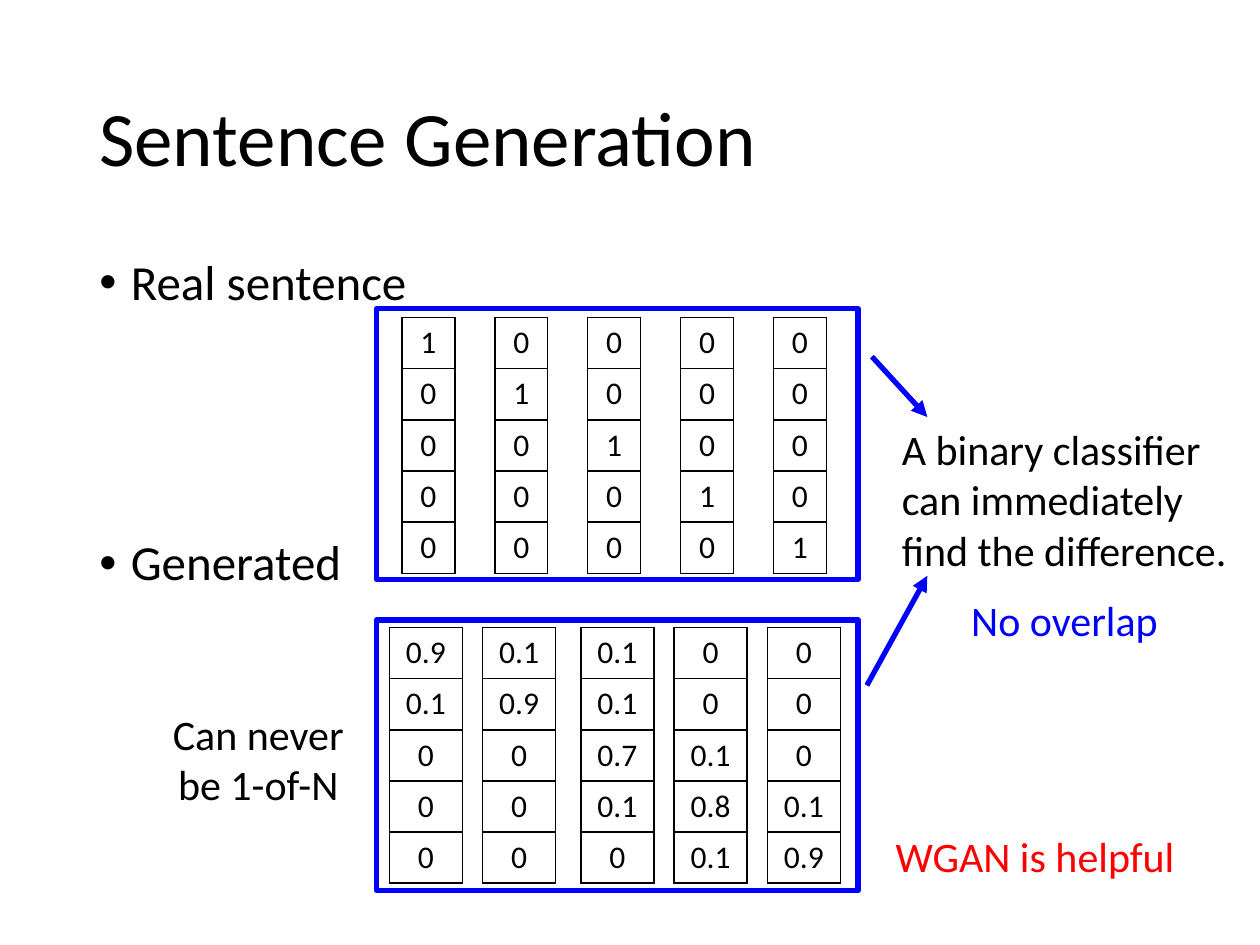
from lxml import etree
from pptx import Presentation
from pptx.dml.color import RGBColor
from pptx.enum.shapes import MSO_CONNECTOR, MSO_SHAPE
from pptx.enum.text import MSO_ANCHOR, PP_ALIGN
from pptx.oxml.ns import qn
from pptx.util import Inches, Pt

LEFT, CENTER = PP_ALIGN.LEFT, PP_ALIGN.CENTER
TOP, MIDDLE = MSO_ANCHOR.TOP, MSO_ANCHOR.MIDDLE
RECTANGLE, STRAIGHT = MSO_SHAPE.RECTANGLE, MSO_CONNECTOR.STRAIGHT
COLORS = {"ink": "000000", "blue": "0000FF", "red": "FF0000"}
FONT = "Calibri"
COLUMNS, ROWS = 100, 75


class SlideBuilder:
    """Draws styled elements on a slide laid out as a 100 by 75 grid."""

    def __init__(self, deck):
        self.slide = deck.slides.add_slide(deck.slide_layouts[6])
        self.shapes = self.slide.shapes
        self.column = deck.slide_width / COLUMNS
        self.row = deck.slide_height / ROWS

    def place(self, *grid):
        steps = (self.column, self.row) * 2
        return [round(length * step) for length, step in zip(grid, steps)]

    def style(self, paragraph, size, color="ink", align=LEFT, spacing=1.0):
        paragraph.alignment = align
        paragraph.line_spacing = spacing
        for run in paragraph.runs:
            run.font.name = FONT
            run.font.size = Pt(size)
            run.font.color.rgb = RGBColor.from_string(COLORS[color])

    def text(self, words, grid, size=24, color="ink", align=LEFT, anchor=TOP, spacing=1.0):
        frame = self.shapes.add_textbox(*self.place(*grid)).text_frame
        frame.word_wrap = True
        frame.vertical_anchor = anchor
        frame.text = words
        for paragraph in frame.paragraphs:
            self.style(paragraph, size, color, align, spacing)
        return frame

    def bullets(self, items, grid, size, gap):
        frame = self.text("\n".join(items), grid, size, spacing=0.9)
        for index, paragraph in enumerate(frame.paragraphs):
            properties = paragraph._p.get_or_add_pPr()
            properties.set("marL", str(Inches(0.25)))
            properties.set("indent", str(-Inches(0.25)))
            if index:
                paragraph.space_before = Pt(gap)
            etree.SubElement(properties, qn("a:buFont"), typeface="Arial")
            etree.SubElement(properties, qn("a:buChar"), char="•")

    def border(self, cell):
        properties = cell._tc.get_or_add_tcPr()
        for index, side in enumerate(("lnL", "lnR", "lnT", "lnB")):
            line = etree.Element(qn(f"a:{side}"), w=str(Pt(1)))
            fill = etree.SubElement(line, qn("a:solidFill"))
            etree.SubElement(fill, qn("a:srgbClr"), val=COLORS["ink"])
            properties.insert(index, line)

    def vector(self, values, grid):
        left, top, width, height = self.place(*grid)
        table = self.shapes.add_table(len(values), 1, left, top, width, height).table
        table.first_row = table.horz_banding = False
        for value, row in zip(values, table.rows):
            cell = row.cells[0]
            cell.text = value
            cell.fill.background()
            self.style(cell.text_frame.paragraphs[0], 18, align=CENTER)
            self.border(cell)

    def outline(self, line):
        line.color.rgb = RGBColor.from_string(COLORS["blue"])
        line.width = Pt(3)

    def frame(self, grid):
        box = self.shapes.add_shape(RECTANGLE, *self.place(*grid))
        box.shadow.inherit = False
        box.fill.background()
        self.outline(box.line)

    def arrow(self, grid):
        connector = self.shapes.add_connector(STRAIGHT, *self.place(*grid))
        self.outline(connector.line)
        etree.SubElement(connector.line._get_or_add_ln(), qn("a:tailEnd"), type="triangle")
        etree.SubElement(connector._element.spPr, qn("a:effectLst"))


def main():
    deck = Presentation()
    deck.slide_width, deck.slide_height = Inches(10), Inches(7.5)
    page = SlideBuilder(deck)

    page.text("Sentence Generation", (6.9, 4, 86.2, 14.5), 44, anchor=MIDDLE, spacing=0.9)
    page.bullets(["Real sentence", "Generated"], (6.9, 20, 86.2, 47.6), 28, gap=130)

    for word in range(5):
        one_hot = ["1" if entry == word else "0" for entry in range(5)]
        page.vector(one_hot, (31.9 + 7.37 * word, 25.2, 4.2, 20.3))

    generated = {
        30.9: ["0.9", "0.1", "0", "0", "0"],
        38.3: ["0.1", "0.9", "0", "0", "0"],
        46.1: ["0.1", "0.1", "0.7", "0.1", "0"],
        53.5: ["0", "0", "0.1", "0.8", "0.1"],
        60.9: ["0", "0", "0", "0.1", "0.9"],
    }
    for left, probabilities in generated.items():
        page.vector(probabilities, (left, 49.8, 5.8, 20.3))

    page.text("Can never be 1-of-N", (11.1, 55.7, 18.8, 9.1), align=CENTER)
    page.text("A binary classifier can immediately find the difference.", (70.6, 33.1, 29.4, 13.1))
    page.text("WGAN is helpful", (70.1, 65.4, 25.2, 5), color="red")
    for top in (24.5, 49.2):
        page.frame((29.9, top, 38.2, 21.5))
    page.arrow((69.2, 28.3, 73.6, 33.1))
    page.arrow((68.8, 54.4, 73.6, 45.7))
    page.text("No overlap", (76.1, 46.7, 21.4, 5), color="blue")

    deck.save("out.pptx")


if __name__ == "__main__":
    main()
